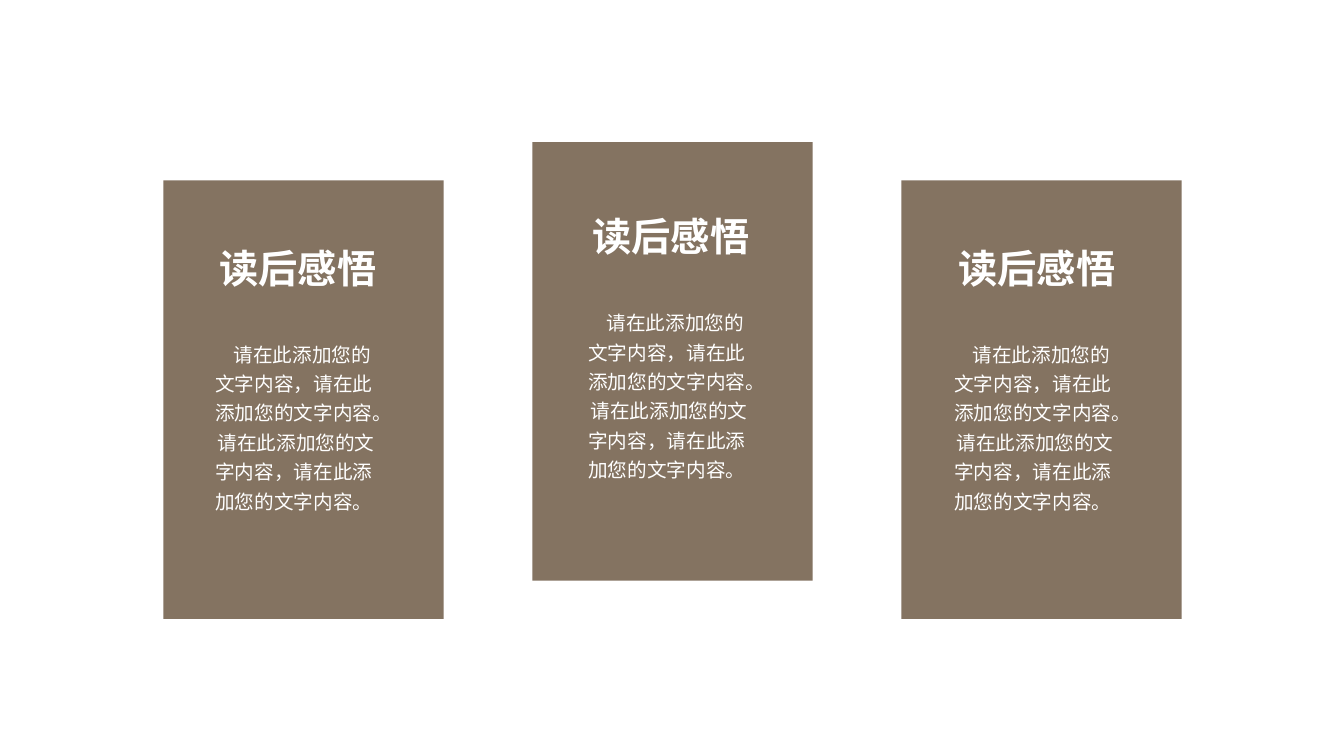
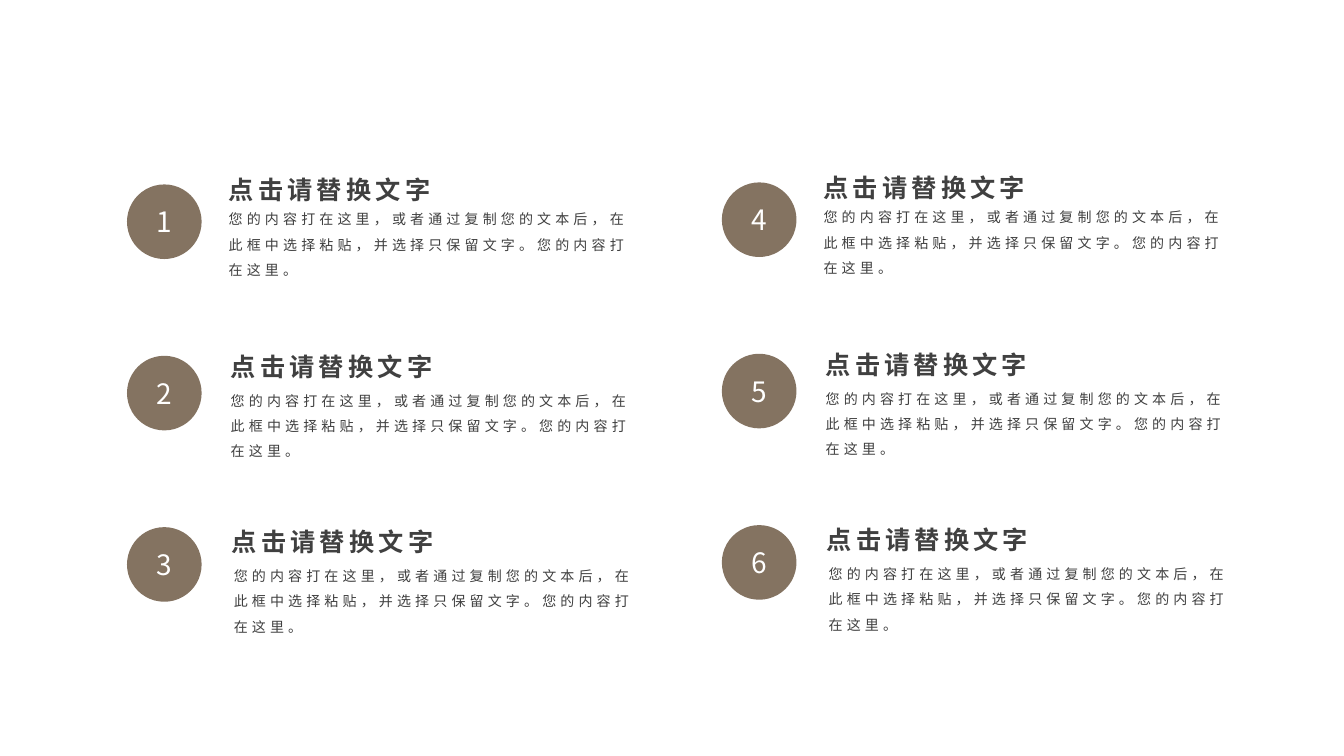
"""Build two slides: three reading-note cards and a numbered list of six points."""
from lxml.etree import SubElement
from pptx import Presentation
from pptx.dml.color import RGBColor
from pptx.enum.shapes import MSO_SHAPE
from pptx.enum.text import MSO_ANCHOR, MSO_AUTO_SIZE, PP_ALIGN
from pptx.oxml.ns import qn
from pptx.util import Inches, Pt

BROWN = RGBColor(0x84, 0x73, 0x61)
WHITE = RGBColor(0xFF, 0xFF, 0xFF)
CHARCOAL = RGBColor(0x40, 0x40, 0x40)
FONT = "Noto Sans CJK SC"

SLIDE_SIZE = (13.33, 7.5)
CARD_SIZE = (2.78, 4.35)
CARD_LEFT, CARD_PITCH = 1.62, 3.66
CARD_TITLE_SIZE = (1.77, 0.57)
CARD_BODY_SIZE = (1.87, 1.87)
CARD_BODY_DROP = 0.92
CARD_TITLE_INSET = 0.09

BADGE_SIZE = (0.74, 0.74)
BADGE_LEFT, BADGE_TOP = 1.26, 1.83
COLUMN_PITCH, ROW_PITCH = 5.9, 1.7
COLUMN_LIFT = 0.02
HEADING_SIZE = (2.98, 0.5)
DETAIL_SIZE = (4.19, 0.86)

CARD_TITLE = "读后感悟"
CARD_BODY = (
    "请在此添加您的文字内容，请在此添加您的文字内容。 "
    "请在此添加您的文字内容，请在此添加您的文字内容。"
)
POINT_HEADING = "点击请替换文字"
POINT_DETAIL = (
    "您的内容打在这里，或者通过复制您的文本后，在此框中选择粘贴，"
    "并选择只保留文字。您的内容打在这里。"
)

CARDS = [
    {"top": 1.79, "text_left": 1.98, "title_top": 2.37},
    {"top": 1.41, "text_left": 5.68, "title_top": 2.06},
    {"top": 1.79, "text_left": 9.31, "title_top": 2.37},
]
POINT_ROWS = [
    {"heading": (2.17, 1.53), "detail": (2.17, 1.96)},
    {"heading": (2.19, 3.29), "detail": (2.19, 3.76)},
    {"heading": (2.20, 5.02), "detail": (2.22, 5.50)},
]

GROWING = {"word_wrap": True, "auto_size": MSO_AUTO_SIZE.SHAPE_TO_FIT_TEXT}
STYLES = {
    "card_title": {
        "frame": GROWING | {"word_wrap": False},
        "paragraph": {"alignment": PP_ALIGN.CENTER},
        "font": {"size": Pt(28), "bold": True},
        "color": WHITE,
    },
    "card_body": {
        "frame": GROWING,
        "paragraph": {"alignment": PP_ALIGN.CENTER, "line_spacing": 1.25},
        "font": {"size": Pt(14)},
        "color": WHITE,
        "indent": Inches(0.17),
    },
    "badge": {
        "frame": {"word_wrap": True, "vertical_anchor": MSO_ANCHOR.MIDDLE},
        "paragraph": {"alignment": PP_ALIGN.CENTER},
        "font": {"size": Pt(20)},
        "color": WHITE,
    },
    "heading": {
        "frame": GROWING,
        "paragraph": {"alignment": PP_ALIGN.LEFT, "line_spacing": 1.5},
        "font": {"size": Pt(18), "bold": True},
        "color": CHARCOAL,
        "tracking": 300,
    },
    "detail": {
        "frame": GROWING,
        "paragraph": {"alignment": PP_ALIGN.LEFT, "line_spacing": 1.5},
        "font": {"size": Pt(10)},
        "color": CHARCOAL,
        "tracking": 300,
    },
}


def apply(target, values):
    """Set each named attribute on the target."""
    for name, value in values.items():
        setattr(target, name, value)


def write(shape, text, style_name):
    """Write one styled paragraph into a shape."""
    style = STYLES[style_name]
    frame = shape.text_frame
    apply(frame, style["frame"])
    paragraph = frame.paragraphs[0]
    apply(paragraph, style["paragraph"])
    if "indent" in style:
        paragraph._p.get_or_add_pPr().set("indent", str(style["indent"]))
    run = paragraph.add_run()
    run.text = text
    apply(run.font, style["font"] | {"name": FONT})
    run.font.color.rgb = style["color"]
    properties = run._r.get_or_add_rPr()
    SubElement(properties, qn("a:ea")).set("typeface", FONT)
    if "tracking" in style:
        properties.set("spc", str(style["tracking"]))


def add_block(slide, kind, position, size):
    """Add a flat brown shape without an outline."""
    shape = slide.shapes.add_shape(kind, *map(Inches, (*position, *size)))
    shape.shadow.inherit = False
    shape.fill.solid()
    shape.fill.fore_color.rgb = BROWN
    shape.line.fill.background()
    return shape


def add_text(slide, position, size, text, style_name):
    """Add a text box in one of the named styles."""
    box = slide.shapes.add_textbox(*map(Inches, (*position, *size)))
    write(box, text, style_name)


def add_card(slide, column, card):
    """Add a card with its title and body."""
    left = CARD_LEFT + column * CARD_PITCH
    add_block(slide, MSO_SHAPE.RECTANGLE, (left, card["top"]), CARD_SIZE)
    text_left, title_top = card["text_left"], card["title_top"]
    title_position = (text_left + CARD_TITLE_INSET, title_top)
    add_text(slide, title_position, CARD_TITLE_SIZE, CARD_TITLE, "card_title")
    body_position = (text_left, title_top + CARD_BODY_DROP)
    add_text(slide, body_position, CARD_BODY_SIZE, CARD_BODY, "card_body")


def add_point(slide, column, row, number):
    """Add a numbered badge with its heading and detail."""

    def place(left, top):
        """Move a first-column position into this column."""
        return left + column * COLUMN_PITCH, top - column * COLUMN_LIFT

    badge_position = place(BADGE_LEFT, BADGE_TOP + row * ROW_PITCH)
    badge = add_block(slide, MSO_SHAPE.OVAL, badge_position, BADGE_SIZE)
    write(badge, str(number), "badge")
    spots = POINT_ROWS[row]
    add_text(slide, place(*spots["heading"]), HEADING_SIZE, POINT_HEADING, "heading")
    add_text(slide, place(*spots["detail"]), DETAIL_SIZE, POINT_DETAIL, "detail")


def main():
    """Build and save the presentation."""
    presentation = Presentation()
    presentation.slide_width, presentation.slide_height = map(Inches, SLIDE_SIZE)
    blank = presentation.slide_layouts[6]

    cards_slide = presentation.slides.add_slide(blank)
    for column, card in enumerate(CARDS):
        add_card(cards_slide, column, card)

    points_slide = presentation.slides.add_slide(blank)
    for index in range(2 * len(POINT_ROWS)):
        column, row = divmod(index, len(POINT_ROWS))
        add_point(points_slide, column, row, index + 1)

    presentation.save("out.pptx")


if __name__ == "__main__":
    main()
